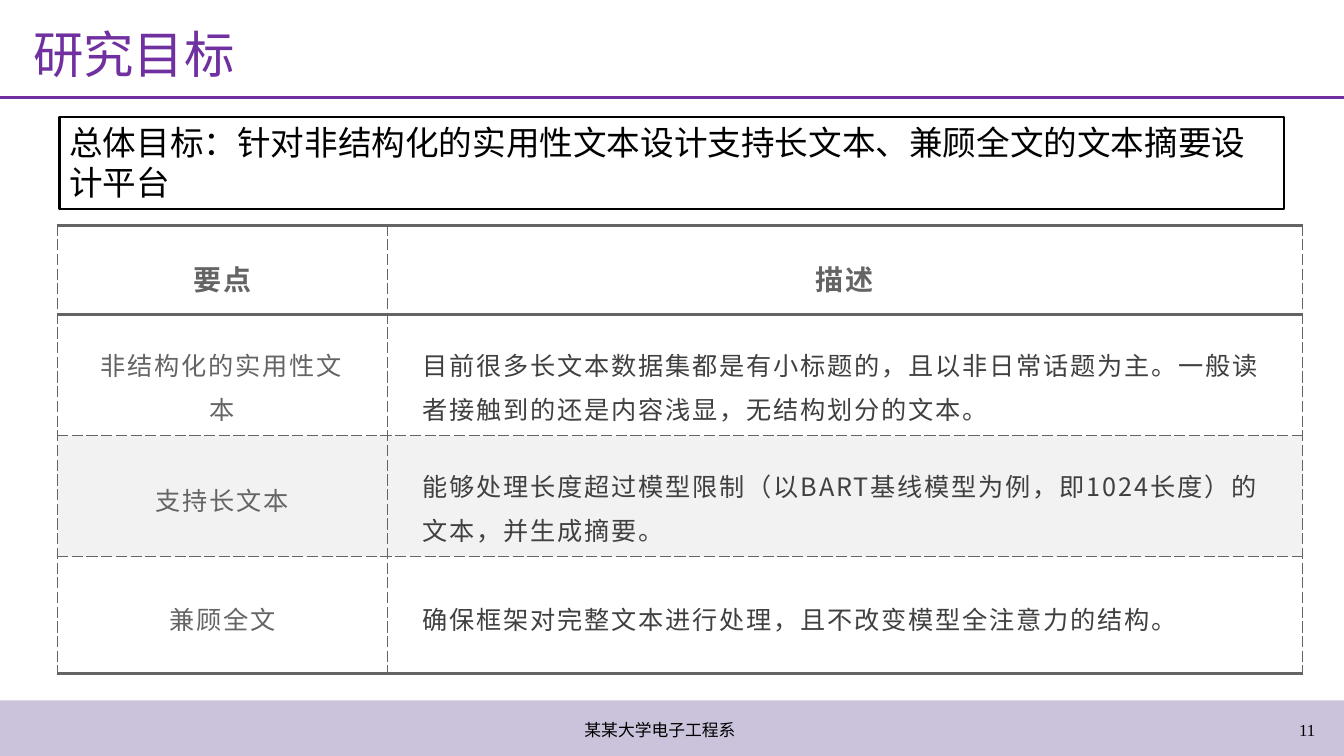
from dataclasses import dataclass

from lxml import etree
from pptx import Presentation
from pptx.dml.color import RGBColor
from pptx.enum.shapes import MSO_CONNECTOR, MSO_SHAPE
from pptx.enum.text import MSO_ANCHOR, PP_ALIGN
from pptx.oxml.ns import qn
from pptx.util import Cm, Pt

LEFT, CENTER, RIGHT = PP_ALIGN.LEFT, PP_ALIGN.CENTER, PP_ALIGN.RIGHT
TOP, MIDDLE = MSO_ANCHOR.TOP, MSO_ANCHOR.MIDDLE
RECTANGLE = MSO_SHAPE.RECTANGLE
STRAIGHT = MSO_CONNECTOR.STRAIGHT


@dataclass(frozen=True)
class Theme:
    purple: str = "7030A0"
    band: str = "735B9F"
    black: str = "000000"
    white: str = "FFFFFF"
    stripe: str = "F2F2F2"
    gray: str = "646464"
    dark: str = "404040"
    serif: str = "Times New Roman"
    sans: str = "Noto Sans CJK SC"
    title: int = 36
    goal: int = 24
    header: int = 20
    cell: int = 18
    footer: int = 12


THEME = Theme()
SLIDE_WIDTH, SLIDE_HEIGHT = 33.87, 19.05
COLUMN_WIDTHS = [8.31, 23.06]
ROW_HEIGHTS = [2.11, 2.95, 2.97, 2.95]
THICK, THIN = 2.25, 0.75
ROWS = [
    ("要点", "描述"),
    ("非结构化的实用性文本",
     "目前很多长文本数据集都是有小标题的，且以非日常话题为主。一般读者接触到的还是内容浅显，无结构划分的文本。"),
    ("支持长文本",
     "能够处理长度超过模型限制（以BART基线模型为例，即1024长度）的文本，并生成摘要。"),
    ("兼顾全文", "确保框架对完整文本进行处理，且不改变模型全注意力的结构。"),
]


def place(item, left, top, width, height):
    item.left, item.top = Cm(left), Cm(top)
    item.width, item.height = Cm(width), Cm(height)


def write(frame, text, size, color, font=THEME.serif, align=LEFT, anchor=MIDDLE):
    frame.word_wrap = True
    frame.vertical_anchor = anchor
    para = frame.paragraphs[0]
    para.alignment = align
    span = para.add_run()
    span.text = text
    span.font.size = Pt(size)
    span.font.name = font
    span.font.color.rgb = RGBColor.from_string(color)
    return para, span


def add_title(page, text):
    title = page.shapes.title
    place(title, 0.58, 0.46, 32.16, 1.98)
    para, _ = write(title.text_frame, text, THEME.title, THEME.purple)
    para.line_spacing = 0.9


def add_label(page, text, left, width, align):
    box = page.shapes.add_textbox(Cm(left), Cm(17.88), Cm(width), Cm(1.02))
    write(box.text_frame, text, THEME.footer, THEME.black, align=align)


def add_band(page):
    top = 17.65
    band = page.shapes.add_shape(
        RECTANGLE, 0, Cm(top), Cm(SLIDE_WIDTH), Cm(SLIDE_HEIGHT - top))
    band.shadow.inherit = False
    band.line.fill.background()
    band.fill.solid()
    band.fill.fore_color.rgb = RGBColor.from_string(THEME.band)
    color = band.fill._xPr.find(qn("a:solidFill"))[0]
    etree.SubElement(color, qn("a:alpha"), val="37000")


def add_rule(page):
    rule = page.shapes.add_connector(STRAIGHT, 0, Cm(2.46), Cm(SLIDE_WIDTH), Cm(2.46))
    rule.line.color.rgb = RGBColor.from_string(THEME.purple)
    rule.line.width = Pt(2)
    etree.SubElement(rule._element.spPr, qn("a:effectLst"))


def add_goal(page, text):
    box = page.shapes.add_shape(RECTANGLE, Cm(1.5), Cm(2.95), Cm(30.86), Cm(2.31))
    box.shadow.inherit = False
    box.fill.background()
    box.line.color.rgb = RGBColor.from_string(THEME.black)
    box.line.width = Pt(1.5)
    write(box.text_frame, text, THEME.goal, THEME.black, anchor=TOP)


def set_borders(cell, top, bottom):
    """Thin edges are dashed, thick ones solid."""
    edges = {"lnL": THIN, "lnR": THIN, "lnT": top, "lnB": bottom}
    properties = cell._tc.get_or_add_tcPr()
    for index, (tag, width) in enumerate(edges.items()):
        line = etree.Element(qn(f"a:{tag}"), w=str(Pt(width)))
        fill = etree.SubElement(line, qn("a:solidFill"))
        etree.SubElement(fill, qn("a:srgbClr"), val=THEME.gray)
        dash = "sysDash" if width == THIN else "solid"
        etree.SubElement(line, qn("a:prstDash"), val=dash)
        properties.insert(index, line)


def fill_cell(cell, text, row, column):
    is_header = row == 0
    is_description = column == 1 and not is_header
    cell.margin_left = cell.margin_right = Cm(0.89)
    cell.margin_top = cell.margin_bottom = Cm(0.61)
    cell.vertical_anchor = MIDDLE
    cell.fill.solid()
    cell.fill.fore_color.rgb = RGBColor.from_string(
        THEME.stripe if row == 2 else THEME.white)
    para, span = write(
        cell.text_frame, text,
        THEME.header if is_header else THEME.cell,
        THEME.dark if is_description else THEME.gray,
        THEME.sans, LEFT if is_description else CENTER)
    para.line_spacing = 1.2
    span.font.bold = is_header
    span.font._element.set("spc", "130")
    set_borders(cell, top=THICK if row < 2 else THIN,
                bottom=THICK if row in (0, len(ROWS) - 1) else THIN)


def add_points_table(page):
    table = page.shapes.add_table(
        len(ROWS), len(COLUMN_WIDTHS), Cm(1.45), Cm(5.69),
        Cm(sum(COLUMN_WIDTHS)), Cm(sum(ROW_HEIGHTS))).table
    for column, width in zip(table.columns, COLUMN_WIDTHS):
        column.width = Cm(width)
    for row, height in zip(table.rows, ROW_HEIGHTS):
        row.height = Cm(height)
    for row, texts in enumerate(ROWS):
        for column, text in enumerate(texts):
            fill_cell(table.cell(row, column), text, row, column)


def main():
    deck = Presentation()
    deck.slide_width, deck.slide_height = Cm(SLIDE_WIDTH), Cm(SLIDE_HEIGHT)
    page = deck.slides.add_slide(deck.slide_layouts[5])

    # Frame of the page
    add_band(page)
    add_rule(page)
    add_title(page, "研究目标")
    add_label(page, "某某大学电子工程系", 14.07, 5.13, CENTER)
    add_label(page, "11", 31.55, 1.85, RIGHT)

    # Content
    add_goal(page, "总体目标：针对非结构化的实用性文本设计支持长文本、兼顾全文的文本摘要设计平台")
    add_points_table(page)

    deck.save("out.pptx")


if __name__ == "__main__":
    main()
